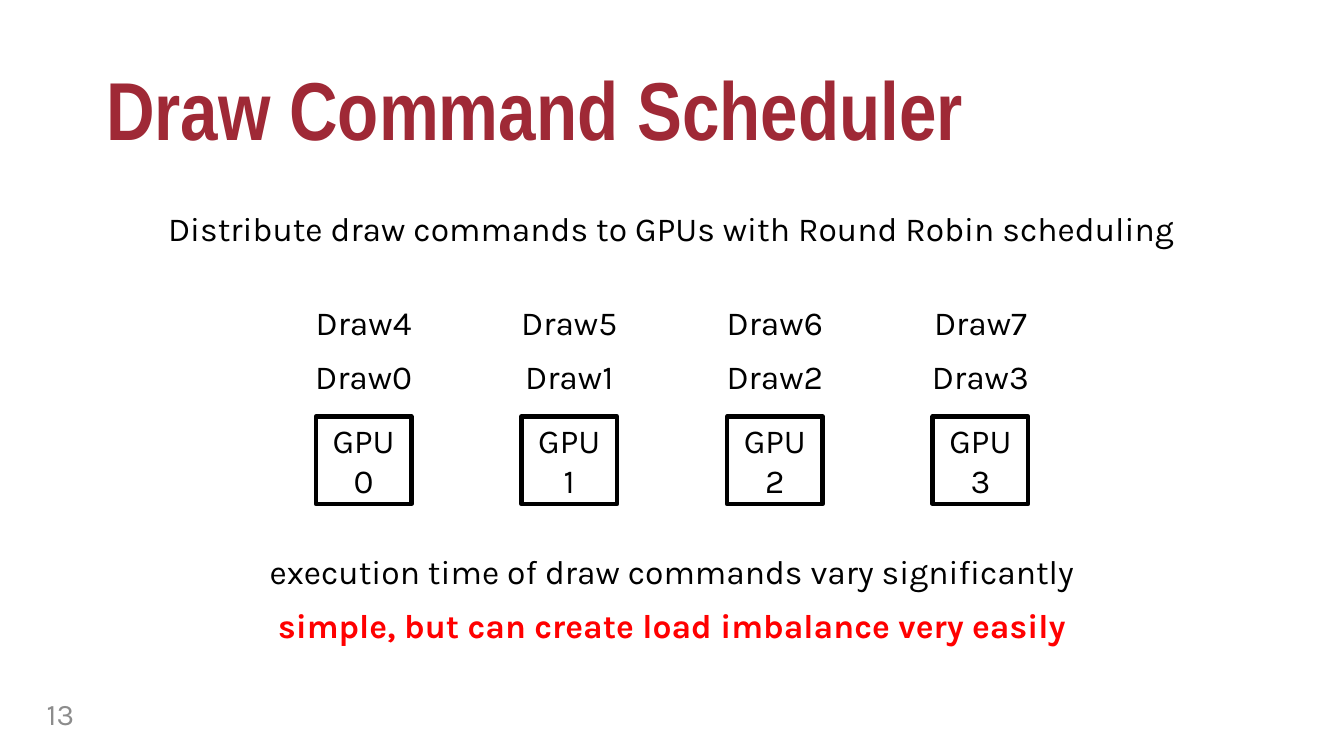
"""Build the draw command scheduler slide."""
from dataclasses import dataclass

import pptx
import pptx.dml.color
import pptx.enum.shapes
import pptx.enum.text
import pptx.util

Pt = pptx.util.Pt
RGB = pptx.dml.color.RGBColor.from_string
ALIGN = pptx.enum.text.PP_ALIGN
ANCHOR = pptx.enum.text.MSO_ANCHOR


@dataclass(frozen=True)
class Theme:
    """Colours, fonts and type sizes in one place."""
    ink: str = "000000"
    title: str = "9F2936"
    alert: str = "FF0000"
    muted: str = "8C8C8C"
    body_font: str = "Karla"
    title_font: str = "Arial Narrow"
    title_size: float = 44
    body_size: float = 18
    number_size: float = 16


THEME = Theme()


@dataclass(frozen=True)
class Label:
    """A line of text with its box in points and its format."""
    text: str
    left: float
    top: float
    width: float
    height: float = 28.8
    size: float = THEME.body_size
    color: str = THEME.ink
    font: str = THEME.body_font
    bold: bool = False
    align: ALIGN = ALIGN.CENTER
    anchor: ANCHOR = ANCHOR.TOP


GPU_COUNT = 4
FIRST_CENTER, PITCH = 194.8, 110.15
GPU_TOP, GPU_WIDTH, GPU_HEIGHT = 223.2, 51.1, 46.8
DRAW_WIDTH = 67.6
DRAW_TOPS = (187.2, 158.4)

TITLE = Label("Draw Command Scheduler", 49.7, 21.6, 670.3, 78.5,
              THEME.title_size, THEME.title, THEME.title_font, True,
              ALIGN.LEFT, ANCHOR.MIDDLE)
LABELS = (
    Label("13", 7.2, 371.5, 39.6, 21.6, THEME.number_size, THEME.muted,
          align=ALIGN.RIGHT, anchor=ANCHOR.MIDDLE),
    Label("Distribute draw commands to GPUs with Round Robin scheduling",
          78.5, 108, 562.3),
    Label("execution time of draw commands vary significantly",
          58.3, 291.6, 603.4),
    Label("simple, but can create load imbalance very easily",
          58.3, 320.4, 603.4, color=THEME.alert, bold=True),
)


def write(sp, label: Label):
    """Put a label's text into a shape and format it."""
    tf = sp.text_frame
    tf.word_wrap = True
    tf.auto_size = pptx.enum.text.MSO_AUTO_SIZE.NONE
    tf.vertical_anchor = label.anchor
    p = tf.paragraphs[0]
    p.alignment = label.align
    r = p.add_run()
    r.text = label.text
    formats = {"name": label.font, "size": Pt(label.size), "bold": label.bold}
    for name, value in formats.items():
        setattr(r.font, name, value)
    r.font.color.rgb = RGB(label.color)


def bounds(label: Label) -> list:
    """Return left, top, width and height of a label as lengths."""
    return [Pt(v) for v in (label.left, label.top, label.width, label.height)]


def add_title(s, label: Label):
    """Move, fill and format the title placeholder."""
    sp = s.shapes.title
    for name, value in zip(("left", "top", "width", "height"), bounds(label)):
        setattr(sp, name, value)
    write(sp, label)
    sp.text_frame.paragraphs[0].line_spacing = 0.9


def add_label(s, label: Label):
    """Add a text box."""
    write(s.shapes.add_textbox(*bounds(label)), label)


def add_gpu(s, label: Label):
    """Add an outlined GPU box."""
    sp = s.shapes.add_shape(pptx.enum.shapes.MSO_SHAPE.RECTANGLE,
                            *bounds(label))
    sp.shadow.inherit = False
    sp.fill.background()
    sp.line.color.rgb = RGB(THEME.ink)
    sp.line.width = Pt(2.5)
    write(sp, label)


def add_queue(s, gpu: int):
    """Add one GPU with the draw commands stacked above it."""
    center = FIRST_CENTER + gpu * PITCH
    add_gpu(s, Label(f"GPU{gpu}", center - GPU_WIDTH / 2, GPU_TOP,
                     GPU_WIDTH, GPU_HEIGHT, anchor=ANCHOR.MIDDLE))
    for turn, top in enumerate(DRAW_TOPS):
        add_label(s, Label(f"Draw{turn * GPU_COUNT + gpu}",
                           center - DRAW_WIDTH / 2, top, DRAW_WIDTH))


def main():
    """Build and save the presentation."""
    prs = pptx.Presentation()
    prs.slide_width, prs.slide_height = Pt(720), Pt(405)
    s = prs.slides.add_slide(prs.slide_layouts[5])
    add_title(s, TITLE)
    for gpu in range(GPU_COUNT):
        add_queue(s, gpu)
    for label in LABELS:
        add_label(s, label)
    prs.save("out.pptx")


main()
